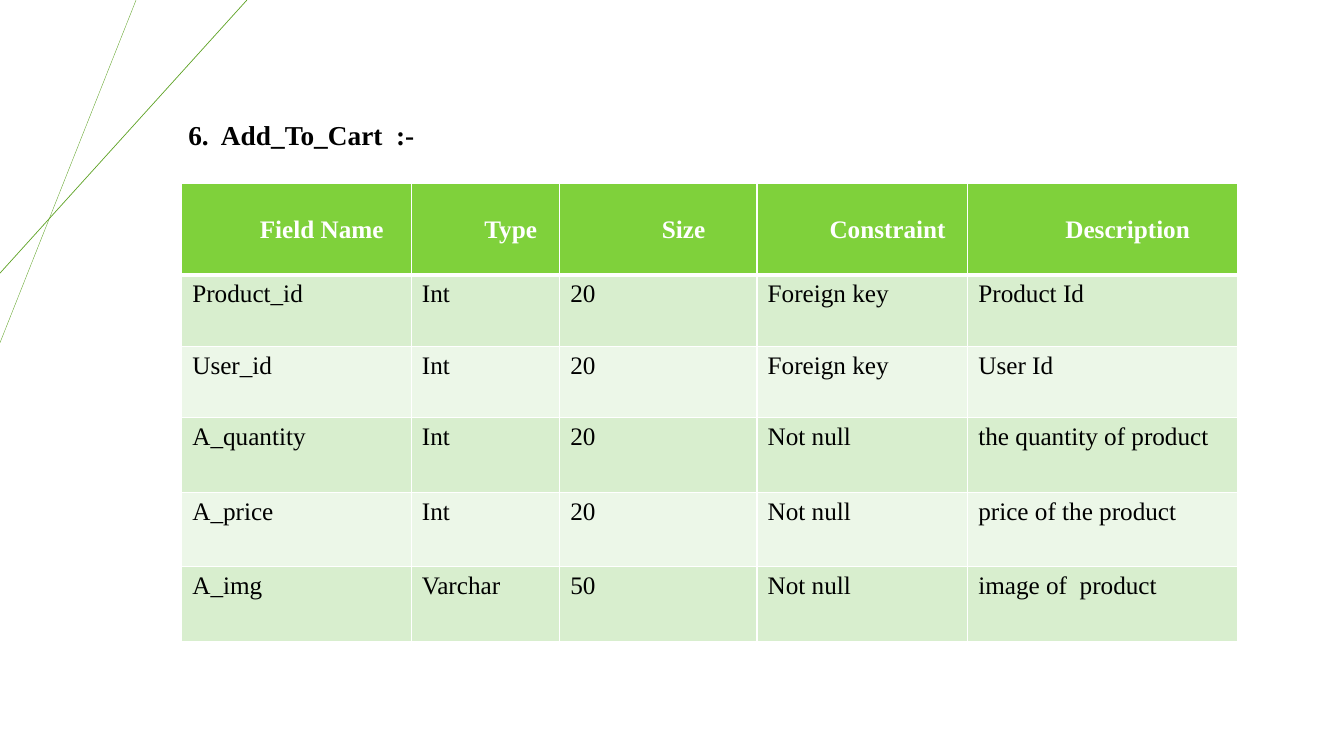
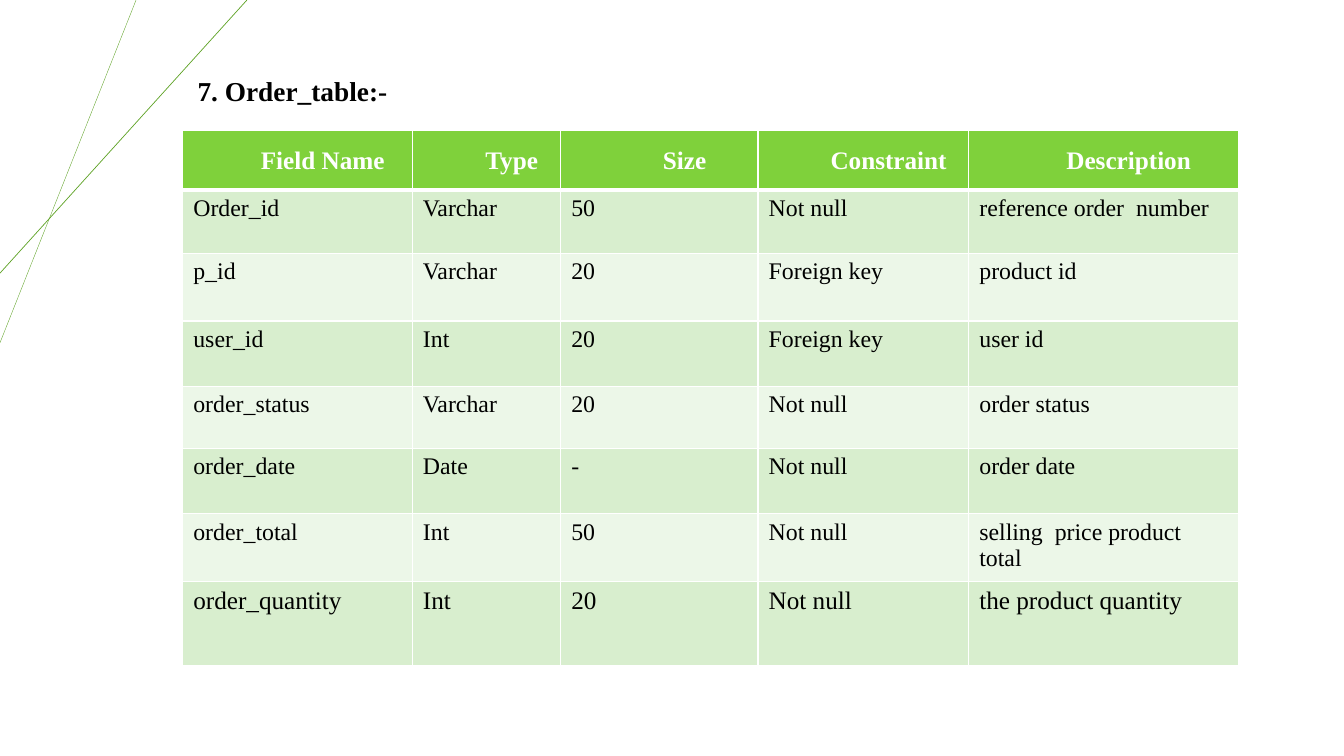
from pptx import Presentation
from pptx.dml.color import RGBColor
from pptx.enum.shapes import MSO_CONNECTOR
from pptx.enum.text import MSO_ANCHOR, MSO_AUTO_SIZE, PP_ALIGN
from pptx.oxml.ns import qn
from pptx.util import Pt
from lxml import etree

STRAIGHT = MSO_CONNECTOR.STRAIGHT
TOP = MSO_ANCHOR.TOP
MIDDLE = MSO_ANCHOR.MIDDLE
FIT_SHAPE = MSO_AUTO_SIZE.SHAPE_TO_FIT_TEXT
LEFT = PP_ALIGN.LEFT
CENTER = PP_ALIGN.CENTER

HEADINGS = ("Field Name", "Type", "Size", "Constraint", "Description")
COLUMN_WIDTHS = (164, 106, 141, 150.5, 192.5)

CART_ROWS = [
    ("Product_id", "Int", "20", "Foreign key", "Product Id"),
    ("User_id", "Int", "20", "Foreign key", "User Id"),
    ("A_quantity", "Int", "20", "Not null", "the quantity of product"),
    ("A_price", "Int", "20", "Not null", "price of the product"),
    ("A_img", "Varchar", "50", "Not null", "image of  product"),
]

ORDER_ROWS = [
    ("Order_id", "Varchar", "50", "Not null", "reference order  number"),
    ("p_id", "Varchar", "20", "Foreign key", "product id"),
    ("user_id", "Int", "20", "Foreign key", "user id"),
    ("order_status", "Varchar", "20", "Not null", "order status"),
    ("order_date", "Date", "-", "Not null", "order date"),
    ("order_total", "Int", "50", "Not null", "selling  price product total"),
    ("order_quantity", "Int", "20", "Not null", "the product quantity"),
]


def color(value):
    return RGBColor.from_string(value)


class SchemaDeck:
    font = "Times New Roman"
    ink = "000000"
    white = "FFFFFF"
    line_green = "5FA326"
    header_green = "7FD13B"
    bands = ("D8EECE", "ECF7E8")
    header_size = 18
    title_size = 19.5
    line_spacing = 1.07

    def __init__(self):
        self.deck = Presentation()
        self.deck.slide_width = Pt(960)
        self.deck.slide_height = Pt(540)
        self.page = None

    def add_page(self):
        self.page = self.deck.slides.add_slide(self.deck.slide_layouts[6])
        self.add_line((97.2, 0), (0, 244.8), 0.25)
        self.add_line((176.4, 0), (0, 195.1), 0.5)

    def add_line(self, start, end, width):
        line = self.page.shapes.add_connector(
            STRAIGHT, *(Pt(value) for value in start + end))
        line.line.color.rgb = color(self.line_green)
        line.line.width = Pt(width)
        etree.SubElement(line._element.spPr, qn("a:effectLst"))

    def format_text(self, para, size, hex_color, bold):
        for span in para.runs:
            span.font.name = self.font
            span.font.size = Pt(size)
            span.font.bold = bold
            span.font.color.rgb = color(hex_color)

    def add_title(self, text, left, top):
        box = self.page.shapes.add_textbox(Pt(left), Pt(top), Pt(181.5), Pt(32.4))
        frame = box.text_frame
        frame.word_wrap = True
        frame.auto_size = FIT_SHAPE
        frame.text = text
        para = frame.paragraphs[0]
        para.line_spacing = self.line_spacing
        para.space_after = Pt(8.7)
        self.format_text(para, self.title_size, self.ink, True)

    def set_borders(self, cell, top, bottom):
        properties = cell._tc.get_or_add_tcPr()
        for side, width in (("L", 1), ("R", 1), ("T", top), ("B", bottom)):
            border = etree.SubElement(
                properties, qn("a:ln" + side), w=str(Pt(width)))
            fill = etree.SubElement(border, qn("a:solidFill"))
            etree.SubElement(fill, qn("a:srgbClr"), val=self.white)

    def fill_cell(self, cell, text, row, size):
        header = row == 0
        self.set_borders(cell, 3 if row == 1 else 1, 3 if header else 1)
        cell.fill.solid()
        cell.fill.fore_color.rgb = color(
            self.header_green if header else self.bands[(row - 1) % 2])
        cell.margin_left = cell.margin_right = Pt(5.8 if header else 7.6)
        cell.margin_top = cell.margin_bottom = Pt(0 if header else 3.8)
        cell.vertical_anchor = MIDDLE if header else TOP
        cell.text_frame.text = text
        para = cell.text_frame.paragraphs[0]
        para.alignment = CENTER if header else LEFT
        if header:
            para._p.get_or_add_pPr().set("marL", str(Pt(36)))
            para.line_spacing = self.line_spacing
        self.format_text(para, size, self.white if header else self.ink, header)

    def add_field_table(self, left, top, rows, heights, sizes):
        frame = self.page.shapes.add_table(
            len(rows) + 1, len(HEADINGS), Pt(left), Pt(top),
            Pt(sum(COLUMN_WIDTHS)), Pt(sum(heights)))
        table = frame.table
        for column, width in zip(table.columns, COLUMN_WIDTHS):
            column.width = Pt(width)
        all_sizes = [self.header_size] + sizes
        for index, texts in enumerate([HEADINGS] + rows):
            table.rows[index].height = Pt(heights[index])
            for cell, text in zip(table.rows[index].cells, texts):
                self.fill_cell(cell, text, index, all_sizes[index])


def main():
    schema = SchemaDeck()

    schema.add_page()
    schema.add_title("6.  Add_To_Cart  :-", 127.4, 79.2)
    schema.add_field_table(129.8, 131, CART_ROWS,
                           [65.5] + [51] * 2 + [53.2] * 3, [18] * 5)

    schema.add_page()
    schema.add_title("7. Order_table:-", 134, 48)
    schema.add_field_table(130.5, 93, ORDER_ROWS,
                           [42.5, 45.4, 48.5, 46.6, 44.2, 46.6, 48.5, 60],
                           [17] * 6 + [18])

    schema.deck.save("out.pptx")


if __name__ == "__main__":
    main()
